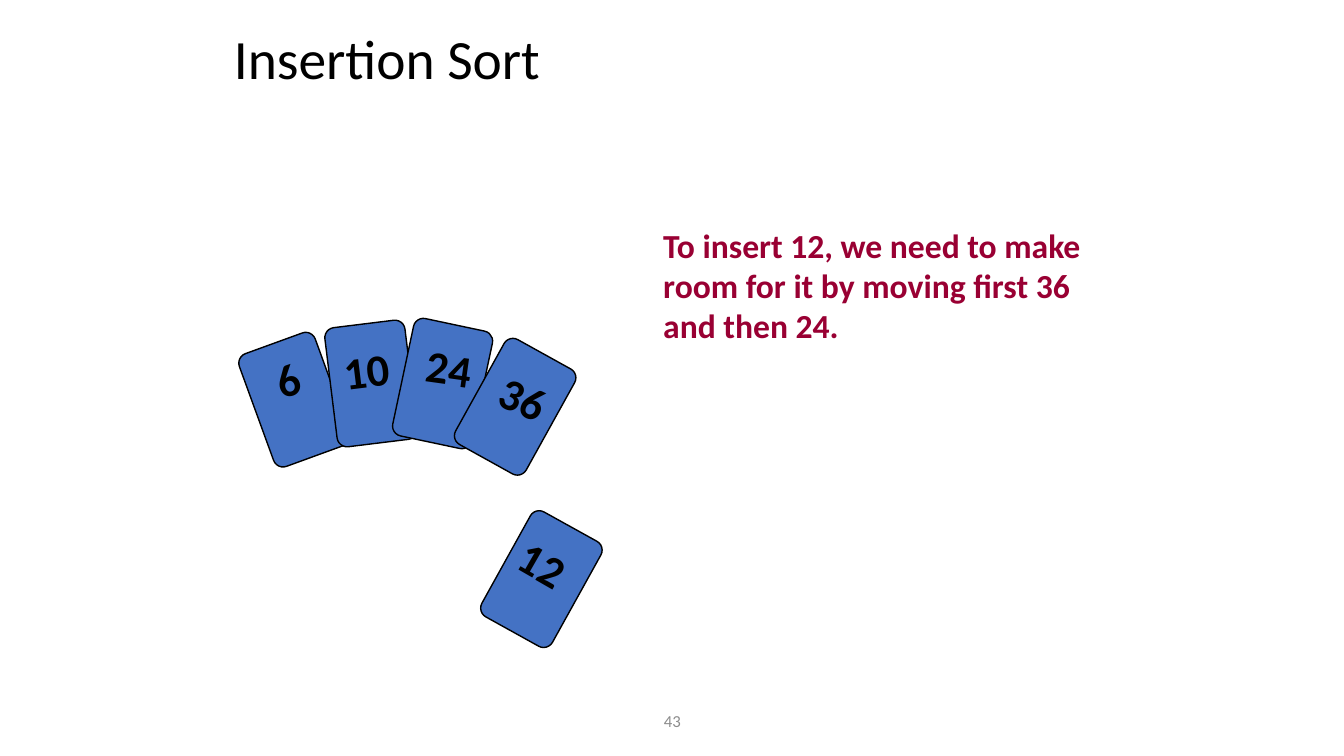
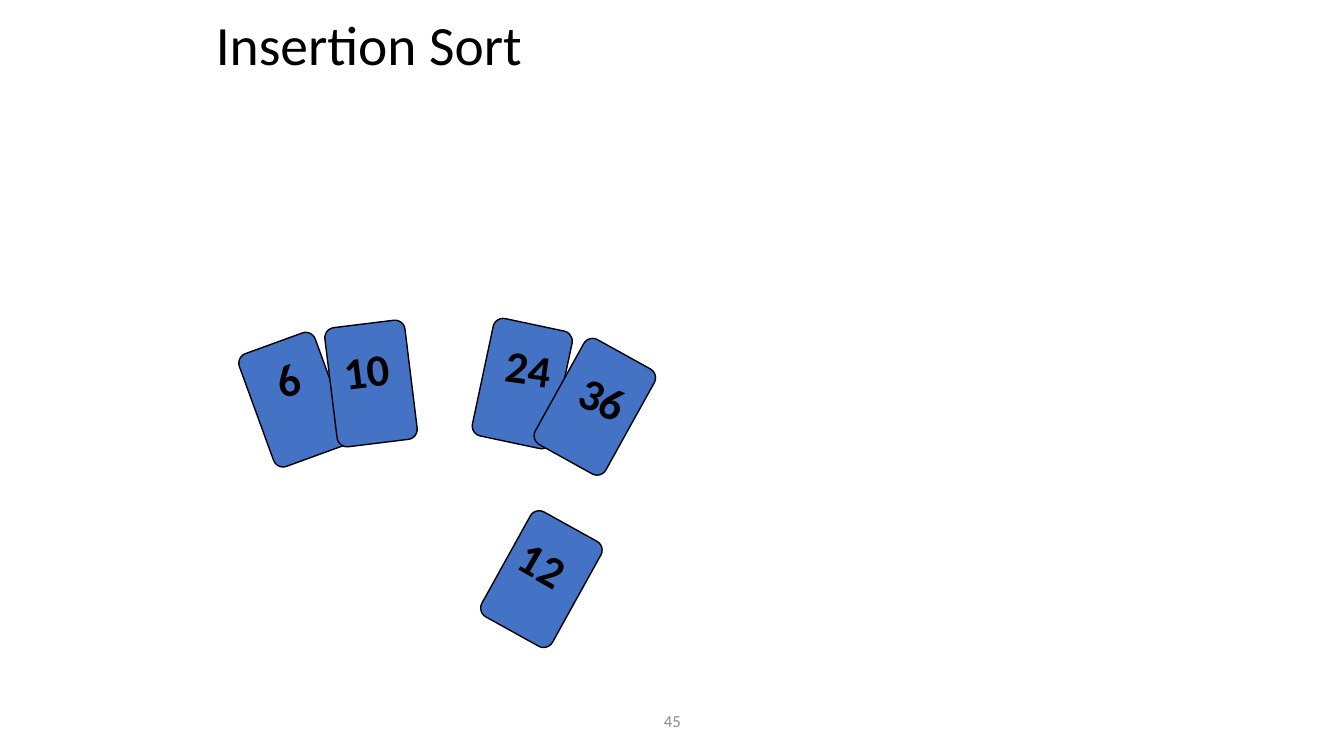
from pptx import Presentation
from pptx import util as u
from pptx.dml import color
from pptx.enum import shapes, text

HUES = {"ink": "000000", "card": "4472C4", "note": "990033", "foot": "8C8C8C"}
FONT = "Calibri"
WIDE, HIGH = 13.33, 7.5
CARD = (0.8, 1.19)
HAND = (2.52, 3.21)
GAP = 0.79
# number: card x, y, turn, then label x, y, turn inside the card
DECK = {
    "6": (0, 0.16, -20, 0.12, 0.07, -19),
    "10": (0.76, 0, -7, 0.03, 0.14, -7),
    "24": (1.47, 0, 12, 0.14, 0.12, 8),
    "36": (2.19, 0.23, 29, 0.16, 0.19, 25),
    "12": (2.45, 1.94, 29, 0.09, 0.13, 30),
}


def hue(name):
    """Return a named colour."""
    return color.RGBColor.from_string(HUES[name])


def inch(box):
    """Turn a box in inches into lengths."""
    return [u.Inches(side) for side in box]


def write(frame, words, size, tint, bold=False, align=text.PP_ALIGN.LEFT):
    """Write one run of styled words into a text frame."""
    para = frame.paragraphs[0]
    para.alignment = align
    run = para.add_run()
    run.text = words
    font = run.font
    font.name, font.size, font.bold = FONT, u.Pt(size), bold
    font.color.rgb = hue(tint)
    return para


def label(slide, box, words, size, tint, wrap=True, **style):
    """Add a text box and return it."""
    item = slide.shapes.add_textbox(*inch(box))
    item.text_frame.word_wrap = wrap
    write(item.text_frame, words, size, tint, **style)
    return item


def title(slide, box):
    """Place and fill the title placeholder."""
    item = slide.shapes.title
    item.left, item.top, item.width, item.height = inch(box)
    frame = item.text_frame
    frame.auto_size = text.MSO_AUTO_SIZE.NONE
    frame.vertical_anchor = text.MSO_ANCHOR.BOTTOM
    write(frame, "Insertion Sort", 39.6, "ink").line_spacing = 0.9


def footer(slide, number):
    """Add the page number at the bottom."""
    box = (4.42, 6.95, 4.5, 0.4)
    item = label(slide, box, number, 12, "foot", align=text.PP_ALIGN.CENTER)
    item.text_frame.vertical_anchor = text.MSO_ANCHOR.MIDDLE


def card(slide, left, top, number):
    """Draw one numbered card of the hand that starts at left, top."""
    dx, dy, turn, tx, ty, tilt = DECK[number]
    x, y = left + dx, top + dy
    item = slide.shapes.add_shape(
        shapes.MSO_SHAPE.ROUNDED_RECTANGLE, *inch((x, y, *CARD)))
    item.adjustments[0] = 0.125
    item.rotation = turn
    item.shadow.inherit = False
    item.fill.solid()
    item.fill.fore_color.rgb = hue("card")
    item.line.color.rgb = hue("ink")
    item.line.width = u.Pt(1)
    wide = 0.2 + 0.23 * len(number)
    mark = label(slide, (x + tx, y + ty, wide, 0.64), number, 32, "ink",
                 wrap=False, bold=True)
    mark.text_frame.auto_size = text.MSO_AUTO_SIZE.SHAPE_TO_FIT_TEXT
    mark.rotation = tilt


def page(deck, number, head, moved=()):
    """Add a slide with its title, number and cards, some moved right."""
    slide = deck.slides.add_slide(deck.slide_layouts[5])
    title(slide, head)
    footer(slide, number)
    left, top = HAND
    for name in DECK:
        card(slide, left + GAP * (name in moved), top, name)
    return slide


def main():
    """Build and save the deck."""
    deck = Presentation()
    deck.slide_width, deck.slide_height = inch((WIDE, HIGH))
    first = page(deck, "43", (2.22, 0.68, 6.92, 0.28))
    label(first, (6.48, 2.18, 4.66, 1.31),
          "To insert 12, we need to make room for it by moving first 36 "
          "and then 24.", 24, "note", bold=True)
    page(deck, "45", (2.04, 0.25, 7.1, 0.57), moved=("24", "36"))
    deck.save("out.pptx")


if __name__ == "__main__":
    main()
